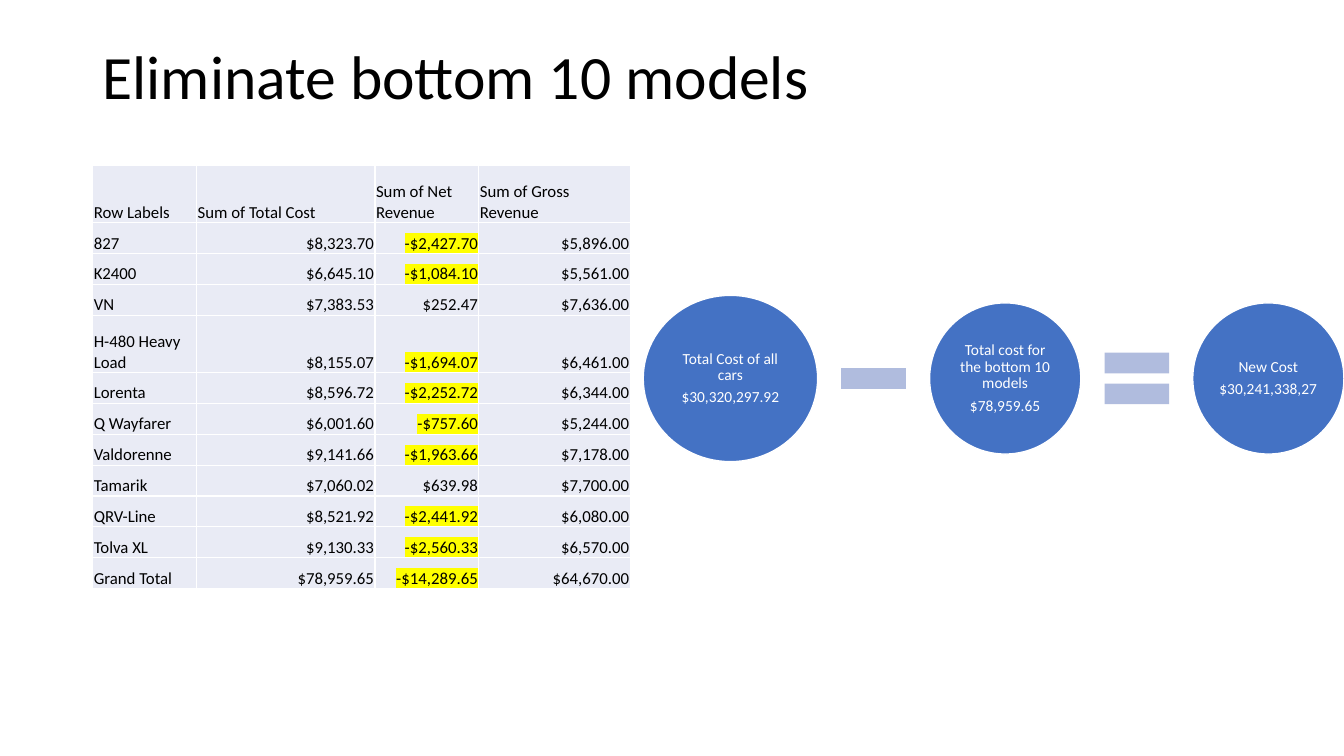
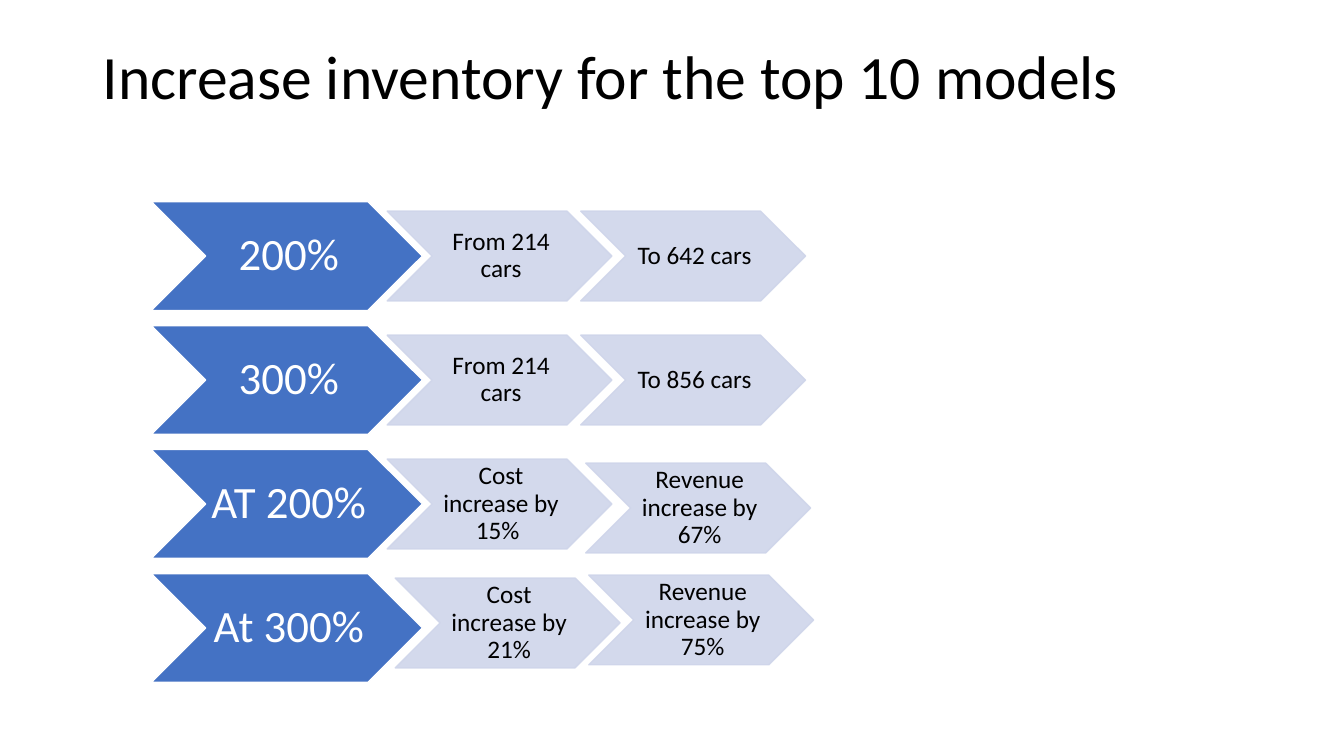
from dataclasses import dataclass

from lxml import etree
from pptx import Presentation
from pptx import util as u
from pptx.dml.color import RGBColor
from pptx.enum import shapes, text
from pptx.oxml import ns

Inches, Pt = u.Inches, u.Pt
SHAPE, ALIGN, ANCHOR = shapes.MSO_SHAPE, text.PP_ALIGN, text.MSO_ANCHOR


@dataclass(frozen=True)
class Theme:
    font: str = "Calibri"
    ink: str = "000000"
    paper: str = "FFFFFF"
    accent: str = "4472C4"
    operator: str = "B0BCDE"
    step: str = "CFD5EA"
    cell: str = "E9EBF5"
    highlight: str = "FFFF00"
    title_size: int = 44
    heading_size: int = 32
    step_size: int = 18
    table_size: int = 12
    circle_size: int = 11


THEME = Theme()

COST_ROWS = [
    ("Row Labels", "Sum of Total Cost", "Sum of Net Revenue", "Sum of Gross Revenue"),
    ("827", "$8,323.70", "-$2,427.70", "$5,896.00"),
    ("K2400", "$6,645.10", "-$1,084.10", "$5,561.00"),
    ("VN", "$7,383.53", "$252.47", "$7,636.00"),
    ("H-480 Heavy Load", "$8,155.07", "-$1,694.07", "$6,461.00"),
    ("Lorenta", "$8,596.72", "-$2,252.72", "$6,344.00"),
    ("Q Wayfarer", "$6,001.60", "-$757.60", "$5,244.00"),
    ("Valdorenne", "$9,141.66", "-$1,963.66", "$7,178.00"),
    ("Tamarik", "$7,060.02", "$639.98", "$7,700.00"),
    ("QRV-Line", "$8,521.92", "-$2,441.92", "$6,080.00"),
    ("Tolva XL", "$9,130.33", "-$2,560.33", "$6,570.00"),
    ("Grand Total", "$78,959.65", "-$14,289.65", "$64,670.00"),
]
TWO_LINE_ROWS = (0, 4)

# Shape, width, height and text lines, from left to right
EQUATION = [
    (SHAPE.OVAL, 1.73, 1.65, ["Total Cost of all cars", "$30,320,297.92"]),
    (SHAPE.MATH_MINUS, 0.87, 0.87, []),
    (SHAPE.OVAL, 1.5, 1.5, ["Total cost for the bottom 10 models", "$78,959.65"]),
    (SHAPE.MATH_EQUAL, 0.87, 0.87, []),
    (SHAPE.OVAL, 1.5, 1.5, ["New Cost", "$30,241,338,27"]),
]

# Heading, then each step with its shift from the regular grid
SCENARIOS = [
    ("200%", [("From 214 cars", 0, 0), ("To 642 cars", 0, 0)]),
    ("300%", [("From 214 cars", 0, 0), ("To 856 cars", 0, 0)]),
    ("AT 200%", [("Cost increase by 15%\t", 0, 0),
                 ("Revenue increase by 67%", 0.05, 0.04)]),
    ("At 300%", [("Cost increase by 21%", 0.08, -0.05),
                 ("Revenue increase by 75%", 0.08, -0.08)]),
]


def rgb(value):
    return RGBColor.from_string(value)


def write(frame, lines, size, color, align=ALIGN.LEFT, anchor=ANCHOR.MIDDLE,
          insets=(0.1, 0.05, 0.1, 0.05), spacing=None, after=0):
    """Fill a text frame or table cell; insets run left, top, right, bottom."""
    frame.margin_left, frame.margin_top, frame.margin_right, frame.margin_bottom = (
        Inches(inset) for inset in insets)
    frame.vertical_anchor = anchor
    frame.word_wrap = True
    body = getattr(frame, "text_frame", frame)
    for index, line in enumerate(lines):
        paragraph = body.add_paragraph() if index else body.paragraphs[0]
        paragraph.add_run().text = line
        paragraph.alignment = align
        paragraph.line_spacing = spacing
        paragraph.space_after = Pt(after)
        paragraph.font.name = THEME.font
        paragraph.font.size = Pt(size)
        paragraph.font.color.rgb = rgb(color)
    return body


def add_figure(slide, kind, box, fill, line=None, alpha=None):
    figure = slide.shapes.add_shape(kind, *(Inches(length) for length in box))
    figure.shadow.inherit = False
    figure.fill.solid()
    figure.fill.fore_color.rgb = rgb(fill)
    if line:
        figure.line.color.rgb = rgb(line)
        figure.line.width = Pt(1)
    else:
        figure.line.fill.background()
    if alpha:
        for color in figure.element.spPr.iter(ns.qn("a:srgbClr")):
            etree.SubElement(color, ns.qn("a:alpha"), val=str(alpha * 1000))
    return figure


def add_title(slide, title):
    box = slide.shapes.add_textbox(Inches(0.92), Inches(0.4), Inches(11.5), Inches(0.78))
    write(box.text_frame, [title], THEME.title_size, THEME.ink, spacing=0.9)


def add_cell_borders(cell):
    properties = cell._tc.get_or_add_tcPr()
    for index, side in enumerate(("lnL", "lnR", "lnT", "lnB")):
        border = etree.Element(ns.qn("a:" + side), w=str(Pt(1)))
        fill = etree.SubElement(border, ns.qn("a:solidFill"))
        etree.SubElement(fill, ns.qn("a:srgbClr"), val=THEME.paper)
        properties.insert(index, border)


def highlight(run):
    mark = etree.SubElement(run._r.get_or_add_rPr(), ns.qn("a:highlight"))
    etree.SubElement(mark, ns.qn("a:srgbClr"), val=THEME.highlight)


def add_cost_table(slide, left, top, width, height):
    table = slide.shapes.add_table(
        len(COST_ROWS), len(COST_ROWS[0]),
        Inches(left), Inches(top), Inches(width), Inches(height)).table
    table.first_row = table.horz_banding = False
    for column, column_width in zip(table.columns, (1.03, 1.77, 1.03, 1.5)):
        column.width = Inches(column_width)

    # Wrapped rows are taller; the others share what is left
    tall = 0.57
    short = (height - tall * len(TWO_LINE_ROWS)) / (len(COST_ROWS) - len(TWO_LINE_ROWS))
    for r, values in enumerate(COST_ROWS):
        table.rows[r].height = Inches(tall if r in TWO_LINE_ROWS else short)
        for c, value in enumerate(values):
            cell = table.cell(r, c)
            cell.fill.solid()
            cell.fill.fore_color.rgb = rgb(THEME.cell)
            add_cell_borders(cell)
            body = write(cell, [value], THEME.table_size, THEME.ink,
                         align=ALIGN.RIGHT if r and c else ALIGN.LEFT,
                         anchor=ANCHOR.BOTTOM, insets=(0.01, 0.01, 0.01, 0))
            if value.startswith("-"):
                highlight(body.paragraphs[0].runs[0])


def add_equation(slide, left, top, width, height):
    gap = (width - sum(part[1] for part in EQUATION)) / (len(EQUATION) - 1)
    for kind, part_width, part_height, lines in EQUATION:
        box = (left, top + (height - part_height) / 2, part_width, part_height)
        if lines:
            circle = add_figure(slide, kind, box, THEME.accent, THEME.paper)
            write(circle.text_frame, lines, THEME.circle_size, THEME.paper,
                  ALIGN.CENTER, insets=(0.02,) * 4, spacing=0.9, after=4)
        else:
            add_figure(slide, kind, box, THEME.operator)
        left += part_width + gap


def add_scenario(slide, left, top, heading, steps):
    # Dark chevron
    head_height = 1.08
    head = add_figure(slide, SHAPE.CHEVRON, (left, top, 2.69, head_height),
                      THEME.accent, THEME.paper)
    write(head.text_frame, [heading], THEME.heading_size, THEME.paper,
          ALIGN.CENTER, insets=(0.04, 0.02, 0, 0.02), spacing=0.9)

    # Pale chevrons, centred on the dark one
    step_width, step_height, pitch = 2.23, 0.89, 1.92
    for index, (label, shift_x, shift_y) in enumerate(steps):
        box = (left + 2.34 + index * pitch + shift_x,
               top + (head_height - step_height) / 2 + shift_y,
               step_width, step_height)
        step = add_figure(slide, SHAPE.CHEVRON, box, THEME.step, THEME.step, alpha=90)
        write(step.text_frame, [label], THEME.step_size, THEME.ink,
              ALIGN.CENTER, insets=(0.03, 0.01, 0, 0.01), spacing=0.9)


def build_elimination_slide(slide):
    add_title(slide, "Eliminate bottom 10 models")
    add_cost_table(slide, 0.92, 1.64, 5.33, 4.2)
    add_equation(slide, 6.38, 2.93, 6.95, 1.65)


def build_inventory_slide(slide):
    add_title(slide, "Increase inventory for the top 10 models")
    for index, (heading, steps) in enumerate(SCENARIOS):
        add_scenario(slide, 1.5, 2 + index * 1.23, heading, steps)


def main():
    deck = Presentation()
    deck.slide_width, deck.slide_height = Inches(13.33), Inches(7.5)
    blank = deck.slide_layouts[6]
    for build in (build_elimination_slide, build_inventory_slide):
        build(deck.slides.add_slide(blank))
    deck.save("out.pptx")


if __name__ == "__main__":
    main()
